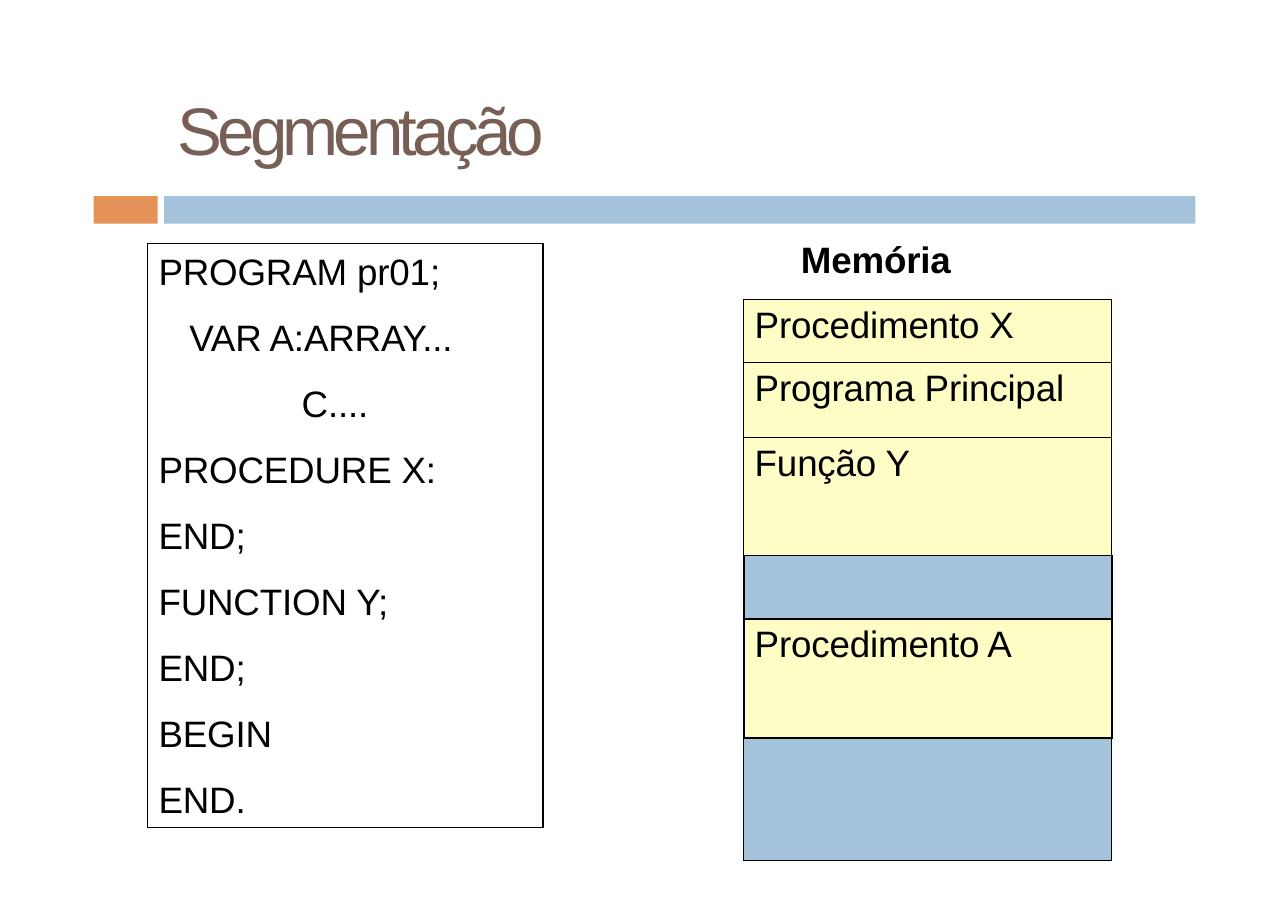
from lxml import etree
from pptx import Presentation
from pptx.dml.color import RGBColor
from pptx.enum.shapes import MSO_SHAPE
from pptx.enum.text import MSO_ANCHOR, MSO_AUTO_SIZE, PP_ALIGN
from pptx.oxml.ns import qn
from pptx.util import Inches, Pt

RECTANGLE = MSO_SHAPE.RECTANGLE
TOP = MSO_ANCHOR.TOP
LEFT = PP_ALIGN.LEFT
NO_AUTOFIT = MSO_AUTO_SIZE.NONE

BLACK = RGBColor(0x00, 0x00, 0x00)
BROWN = RGBColor(0x77, 0x5F, 0x55)
ORANGE = RGBColor(0xE5, 0x93, 0x58)
BLUE = RGBColor(0xA4, 0xC3, 0xDB)
YELLOW = RGBColor(0xFD, 0xFD, 0xC5)

CODE_LINES = [
    ("PROGRAM pr01;", 0),
    ("VAR A:ARRAY...", 0.28),
    ("C....", 1.3),
    ("PROCEDURE X:", 0),
    ("END;", 0),
    ("FUNCTION Y;", 0),
    ("END;", 0),
    ("BEGIN", 0),
    ("END.", 0),
]
SEGMENTS = [
    ("Procedimento X", 0.57, YELLOW, 1),
    ("Programa Principal", 0.68, YELLOW, 1),
    ("Função Y", 1.07, YELLOW, 1),
    ("", 0.58, BLUE, 1.5),
    ("Procedimento A", 1.08, YELLOW, 1.5),
    ("", 1.11, BLUE, 1),
]


def set_frame(frame, left, top):
    frame.word_wrap = True
    frame.auto_size = NO_AUTOFIT
    frame.vertical_anchor = TOP
    frame.margin_left = Inches(left)
    frame.margin_top = Inches(top)
    frame.margin_right = frame.margin_bottom = 0


def format_paragraph(para, size=24, color=BLACK, bold=False, before=0, tracking=-0.1):
    para.alignment = LEFT
    para.space_before = Pt(before)
    for span in para.runs:
        span.font.name = "Arial"
        span.font.size = Pt(size)
        span.font.bold = bold
        span.font.color.rgb = color
        span._r.get_or_add_rPr().set("spc", str(round(tracking * 100)))


def add_title(page, left, top, width, height):
    title = page.shapes.title
    title.left, title.top = Inches(left), Inches(top)
    title.width, title.height = Inches(width), Inches(height)
    set_frame(title.text_frame, 0.01, 0.01)
    title.text_frame.text = "Segmentação"
    format_paragraph(title.text_frame.paragraphs[0], 44, BROWN, before=1, tracking=-3.2)


def add_band(page, left, top, width, height):
    accent, gap = 0.58, 0.06
    bar_left = left + accent + gap
    parts = [(left, accent, ORANGE), (bar_left, left + width - bar_left, BLUE)]
    for part_left, part_width, color in parts:
        bar = page.shapes.add_shape(RECTANGLE, Inches(part_left), Inches(top),
                                    Inches(part_width), Inches(height))
        bar.shadow.inherit = False
        bar.fill.solid()
        bar.fill.fore_color.rgb = color
        bar.line.fill.background()


def add_code(page, left, top, width, height):
    box = page.shapes.add_shape(RECTANGLE, Inches(left), Inches(top),
                                Inches(width), Inches(height))
    box.shadow.inherit = False
    box.fill.background()
    box.line.color.rgb = BLACK
    box.line.width = Pt(1)
    frame = box.text_frame
    set_frame(frame, 0.1, 0.05)
    for index, (text, indent) in enumerate(CODE_LINES):
        para = frame.add_paragraph() if index else frame.paragraphs[0]
        para.text = text
        format_paragraph(para, before=14.3 if index else 3.5)
        para._p.get_or_add_pPr().set("marL", str(Inches(indent)))


def set_borders(cell, side_width):
    properties = cell._tc.get_or_add_tcPr()
    widths = {"a:lnL": side_width, "a:lnR": side_width, "a:lnT": 1, "a:lnB": 1}
    for position, (tag, width) in enumerate(widths.items()):
        border = etree.Element(qn(tag), w=str(Pt(width)))
        fill = etree.SubElement(border, qn("a:solidFill"))
        etree.SubElement(fill, qn("a:srgbClr"), val=str(BLACK))
        properties.insert(position, border)


def add_memory(page, left, top, width):
    heading = page.shapes.add_textbox(Inches(left + 0.51), Inches(top - 0.58),
                                      Inches(1.5), Inches(0.43))
    set_frame(heading.text_frame, 0.01, 0.01)
    heading.text_frame.text = "Memória"
    format_paragraph(heading.text_frame.paragraphs[0], bold=True, before=1)

    height = sum(segment[1] for segment in SEGMENTS)
    table = page.shapes.add_table(len(SEGMENTS), 1, Inches(left), Inches(top),
                                  Inches(width), Inches(height)).table
    table.first_row = False
    table.horz_banding = False
    for index, (text, row_height, color, side_width) in enumerate(SEGMENTS):
        table.rows[index].height = Inches(row_height)
        cell = table.cell(index, 0)
        cell.margin_left = Inches(0.1)
        cell.margin_top = Inches(0.05)
        cell.margin_right = cell.margin_bottom = 0
        cell.vertical_anchor = TOP
        cell.fill.solid()
        cell.fill.fore_color.rgb = color
        set_borders(cell, side_width)
        if text:
            cell.text_frame.text = text
            format_paragraph(cell.text_frame.paragraphs[0], before=3.5)


def main():
    deck = Presentation()
    deck.slide_width, deck.slide_height = Inches(11.69), Inches(8.26)
    page = deck.slides.add_slide(deck.slide_layouts[5])
    add_band(page, 0.85, 1.78, 10, 0.25)
    add_code(page, 1.34, 2.21, 3.59, 5.3)
    add_memory(page, 6.75, 2.72, 3.34)
    add_title(page, 1.6, 0.79, 4.62, 0.76)
    deck.save("out.pptx")


if __name__ == "__main__":
    main()
